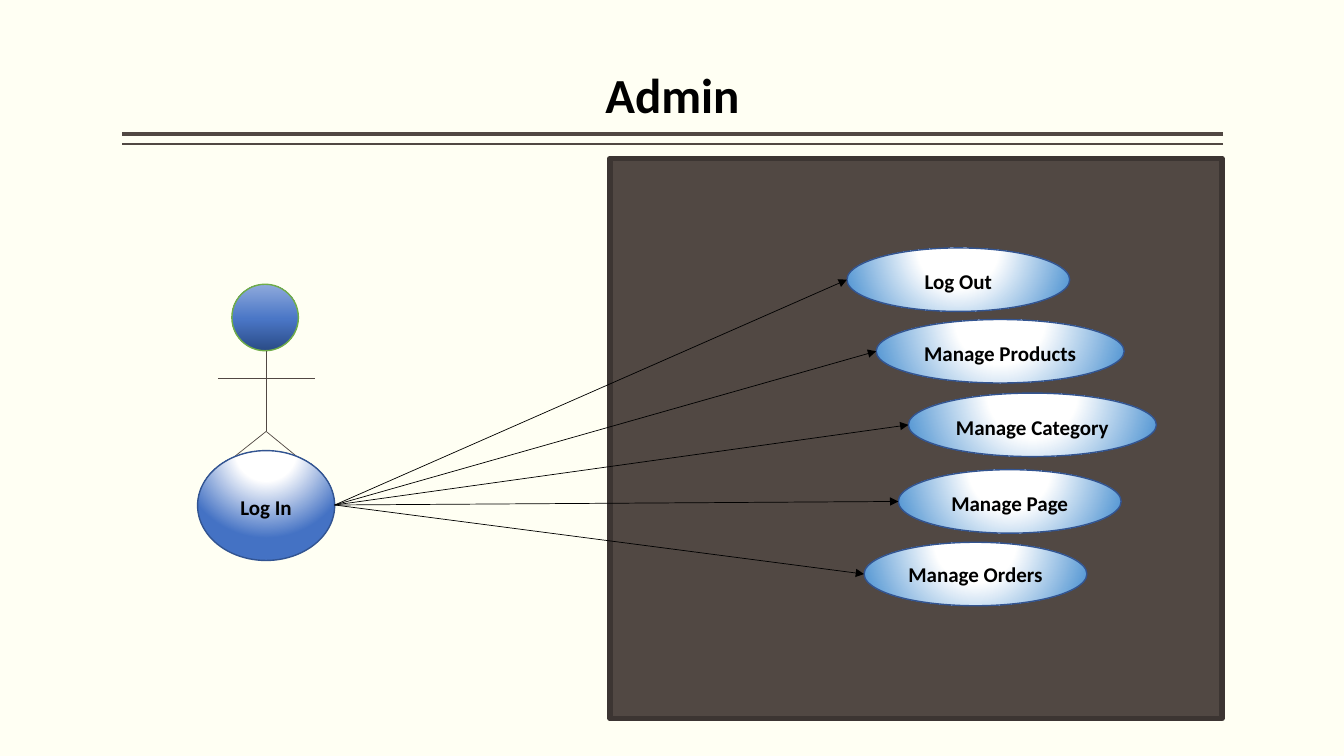
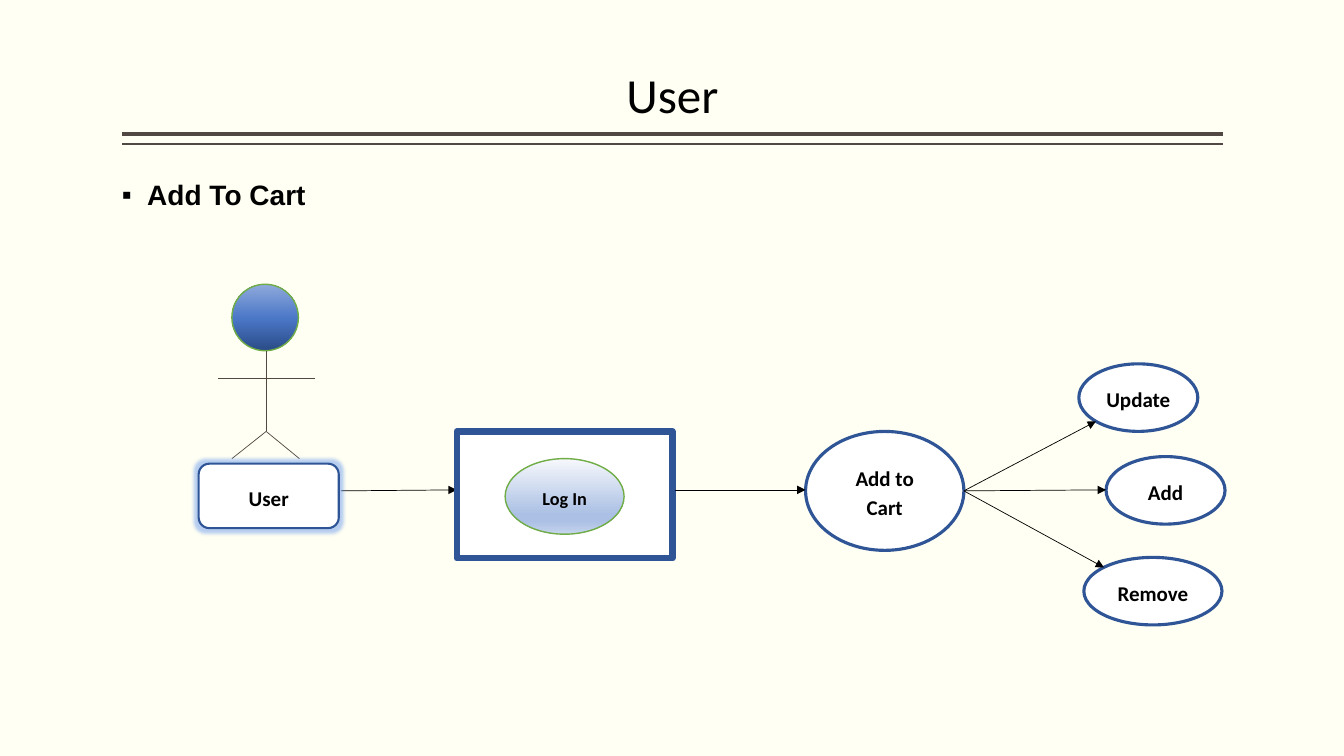
"""Build two use case slides: what the admin and the user can do."""
from lxml import etree
from pptx import Presentation
from pptx.dml.color import RGBColor
from pptx.enum.shapes import MSO_CONNECTOR, MSO_SHAPE
from pptx.enum.text import MSO_ANCHOR, MSO_AUTO_SIZE, PP_ALIGN
from pptx.oxml.ns import qn
from pptx.util import Inches, Pt

STRAIGHT = MSO_CONNECTOR.STRAIGHT
ELLIPSE, RECTANGLE, ROUNDED = MSO_SHAPE.OVAL, MSO_SHAPE.RECTANGLE, MSO_SHAPE.ROUNDED_RECTANGLE
LEFT, CENTER = PP_ALIGN.LEFT, PP_ALIGN.CENTER

CREAM = RGBColor(0xFF, 0xFF, 0xF3)
BROWN = RGBColor(0x51, 0x48, 0x43)
DARK_BROWN = RGBColor(0x3C, 0x35, 0x32)
BLACK = RGBColor(0, 0, 0)
WHITE = RGBColor(0xFF, 0xFF, 0xFF)
NAVY = RGBColor(0x2F, 0x55, 0x97)
OVAL_EDGE = RGBColor(0x32, 0x54, 0x91)
GREEN = RGBColor(0x70, 0xAD, 0x47)
BLUE = RGBColor(0x44, 0x72, 0xC4)
SKY = RGBColor(0x5B, 0x9B, 0xD5)
GLOW = RGBColor(0x4A, 0x84, 0xEC)

HEAD_STOPS = [(0, RGBColor(0x2A, 0x4B, 0x86)), (48, RGBColor(0x4A, 0x76, 0xC6)),
              (100, RGBColor(0x8F, 0xAA, 0xDC))]
LOGIN_STOPS = [(0, RGBColor(0xF6, 0xF8, 0xFC)), (74, RGBColor(0xAB, 0xC0, 0xE4)),
               (83, RGBColor(0xAB, 0xC0, 0xE4)), (100, RGBColor(0xC7, 0xD5, 0xED))]

SLIDE_WIDTH, SLIDE_HEIGHT = 13.33, 7.5
MARGIN, CONTENT_WIDTH = 1.21, 10.92
RULES = [(1.33, 3), (1.43, 1)]
FIGURE_LINES = [((2.64, 3.48), (2.64, 4.28)), ((2.16, 3.75), (3.12, 3.75)),
                ((2.64, 4.28), (2.97, 4.55)), ((2.64, 4.28), (2.3, 4.55))]

USE_CASE_HEIGHT = 0.63
USE_CASES = [
    ("Log Out", 8.4, 2.46, 2.21, 1.15),
    ("Manage Products", 8.69, 3.17, 2.46, 1.15),
    ("Manage Category", 9.01, 3.9, 2.46, 1.15),
    ("Manage Page", 8.91, 4.66, 2.21, 1.15),
    ("Manage Orders", 8.57, 5.38, 2.21, 1.0),
]
CART_ACTIONS = [
    ("Update", (10.7, 3.61, 1.18, 0.67), (10.87, 4.18)),
    ("Add", (10.97, 4.53, 1.18, 0.67), (10.97, 4.86)),
    ("Remove", (10.75, 5.53, 1.37, 0.67), (10.95, 5.63)),
]


def write(frame, text, size=15, font="Calibri", bold=True, align=CENTER,
          spacing=1.15, before=0, after=0, bullet=None):
    """Fill a text frame, one paragraph for each line of text."""
    lines = text.split("\n")
    for index, line in enumerate(lines):
        paragraph = frame.paragraphs[0] if index == 0 else frame.add_paragraph()
        if bullet:
            properties = paragraph._p.get_or_add_pPr()
            properties.set("marL", str(Inches(0.25)))
            properties.set("indent", str(-Inches(0.25)))
            etree.SubElement(properties, qn("a:buChar")).set("char", bullet)
        paragraph.alignment = align
        paragraph.line_spacing = spacing
        paragraph.space_before = Pt(before if index else 0)
        paragraph.space_after = Pt(after if index == len(lines) - 1 else 0)
        run = paragraph.add_run()
        run.text = line
        run.font.size, run.font.name, run.font.bold = Pt(size), font, bold
        run.font.color.rgb = BLACK


def place(shape, box):
    """Move a shape to a box of left, top, width and height in inches."""
    shape.left, shape.top, shape.width, shape.height = map(Inches, box)


def add_color(parent, color):
    """Append a colour element and return it."""
    element = etree.SubElement(parent, qn("a:srgbClr"))
    element.set("val", str(color))
    return element


def set_gradient(shape, stops, angle=None):
    """Fill a shape with a linear gradient, or one that spreads from above it."""
    shape.fill.gradient()
    gradient = shape.element.spPr.find(qn("a:gradFill"))
    for child in list(gradient):
        gradient.remove(child)
    gradient.set("rotWithShape", "1")
    stop_list = etree.SubElement(gradient, qn("a:gsLst"))
    for position, color in stops:
        stop = etree.SubElement(stop_list, qn("a:gs"))
        stop.set("pos", str(position * 1000))
        add_color(stop, color)
    if angle is None:
        circle = etree.SubElement(gradient, qn("a:path"))
        circle.set("path", "circle")
        target = etree.SubElement(circle, qn("a:fillToRect"))
        for side, share in zip("ltrb", (50, -80, 50, 180)):
            target.set(side, str(share * 1000))
    else:
        etree.SubElement(gradient, qn("a:lin")).set("ang", str(angle * 60000))


def add_node(slide, kind, box, text="", fill=WHITE, stops=None, angle=None,
             edge=NAVY, weight=2.25, **text_format):
    """Add an outlined shape with centred text."""
    shape = slide.shapes.add_shape(kind, *map(Inches, box))
    shape.shadow.inherit = False
    if stops:
        set_gradient(shape, stops, angle)
    else:
        shape.fill.solid()
        shape.fill.fore_color.rgb = fill
    shape.line.color.rgb = edge
    shape.line.width = Pt(weight)
    if text:
        frame = shape.text_frame
        frame.word_wrap = True
        frame.margin_left = frame.margin_right = 0
        frame.vertical_anchor = MSO_ANCHOR.MIDDLE
        write(frame, text, **text_format)
    return shape


def add_line(slide, start, end, color=BLACK, weight=0.5, arrow=False):
    """Add a straight line, with an arrowhead at its end if asked."""
    line = slide.shapes.add_connector(STRAIGHT, *map(Inches, start + end))
    line.line.color.rgb = color
    line.line.width = Pt(weight)
    if arrow:
        outline = line.element.spPr.find(qn("a:ln"))
        etree.SubElement(outline, qn("a:tailEnd")).set("type", "triangle")
    etree.SubElement(line.element.spPr, qn("a:effectLst"))
    return line


def add_slide(presentation, layout, title, bold):
    """Add a slide with its title above the double rule."""
    slide = presentation.slides.add_slide(presentation.slide_layouts.get_by_name(layout))
    place(slide.shapes.title, (MARGIN, 0.08, CONTENT_WIDTH, 1.2))
    frame = slide.shapes.title.text_frame
    frame.vertical_anchor = MSO_ANCHOR.BOTTOM
    frame.auto_size = MSO_AUTO_SIZE.NONE
    frame.margin_left = frame.margin_right = 0
    write(frame, title, size=35, bold=bold, spacing=0.9)
    return slide


def style_master(presentation, slide):
    """Give the master its background and the double rule, drawn on a slide first."""
    master = presentation.slide_master
    master.background.fill.solid()
    master.background.fill.fore_color.rgb = CREAM
    for number, (top, weight) in enumerate(RULES, start=100):
        rule = add_line(slide, (MARGIN + CONTENT_WIDTH, top), (MARGIN, top), BROWN, weight)
        rule.element.nvCxnSpPr.cNvPr.set("id", str(number))
        master.shapes.element.append(rule.element)


def add_figure(slide):
    """Draw the stick figure."""
    add_node(slide, ELLIPSE, (2.3, 2.82, 0.66, 0.66), stops=HEAD_STOPS, angle=270,
             edge=GREEN, weight=1)
    for start, end in FIGURE_LINES:
        add_line(slide, start, end, BROWN)


def add_spotlit_oval(slide, box, text, color, **text_format):
    """Add an oval that fades from white to a colour."""
    add_node(slide, ELLIPSE, box, text, stops=[(0, WHITE), (35, WHITE), (100, color)],
             edge=OVAL_EDGE, weight=1, **text_format)


def build_admin(presentation):
    """Build the admin slide."""
    slide = add_slide(presentation, "Title Only", "Admin", True)
    style_master(presentation, slide)
    add_node(slide, RECTANGLE, (6.05, 1.57, 6.07, 5.56), fill=BROWN, edge=DARK_BROWN,
             weight=3.78)
    add_figure(slide)
    add_spotlit_oval(slide, (1.96, 4.47, 1.36, 1.09), "Log In", BLUE)
    for text, left, top, width, spacing in USE_CASES:
        add_spotlit_oval(slide, (left, top, width, USE_CASE_HEIGHT), text, SKY,
                         spacing=spacing, after=10)
        add_line(slide, (3.32, 5.01), (left, top + USE_CASE_HEIGHT / 2), arrow=True)


def build_user(presentation):
    """Build the user slide."""
    slide = add_slide(presentation, "Title and Content", "User", False)
    body = slide.placeholders[1]
    place(body, (MARGIN, 1.75, CONTENT_WIDTH, 5))
    body.text_frame.margin_left = body.text_frame.margin_right = 0
    body.text_frame.auto_size = MSO_AUTO_SIZE.NONE
    write(body.text_frame, "Add To Cart", size=20, font="Arial", align=LEFT, spacing=0.9,
          bullet="▪")
    add_figure(slide)
    add_line(slide, (3.38, 4.87), (4.53, 4.86), arrow=True)
    add_node(slide, RECTANGLE, (4.53, 4.28, 2.14, 1.26), weight=4.5)
    add_node(slide, ELLIPSE, (5.01, 4.55, 1.18, 0.75), "Log In", stops=LOGIN_STOPS,
             angle=90, edge=GREEN, weight=1, size=13, after=10)
    add_node(slide, ELLIPSE, (7.99, 4.28, 1.57, 1.18), "Add to\nCart", after=10)
    add_line(slide, (6.69, 4.86), (7.99, 4.86), arrow=True)
    user = add_node(slide, ROUNDED, (1.97, 4.6, 1.39, 0.64), "User", weight=1.5, after=10)
    glow = etree.SubElement(user.element.spPr.find(qn("a:effectLst")), qn("a:glow"))
    glow.set("rad", str(Pt(5)))
    etree.SubElement(add_color(glow, GLOW), qn("a:alpha")).set("val", "40000")
    for text, box, target in CART_ACTIONS:
        add_node(slide, ELLIPSE, box, text)
        add_line(slide, (9.56, 4.87), target, arrow=True)


def main():
    """Build and save the presentation."""
    presentation = Presentation()
    presentation.slide_width = Inches(SLIDE_WIDTH)
    presentation.slide_height = Inches(SLIDE_HEIGHT)
    build_admin(presentation)
    build_user(presentation)
    presentation.save("out.pptx")


if __name__ == "__main__":
    main()
